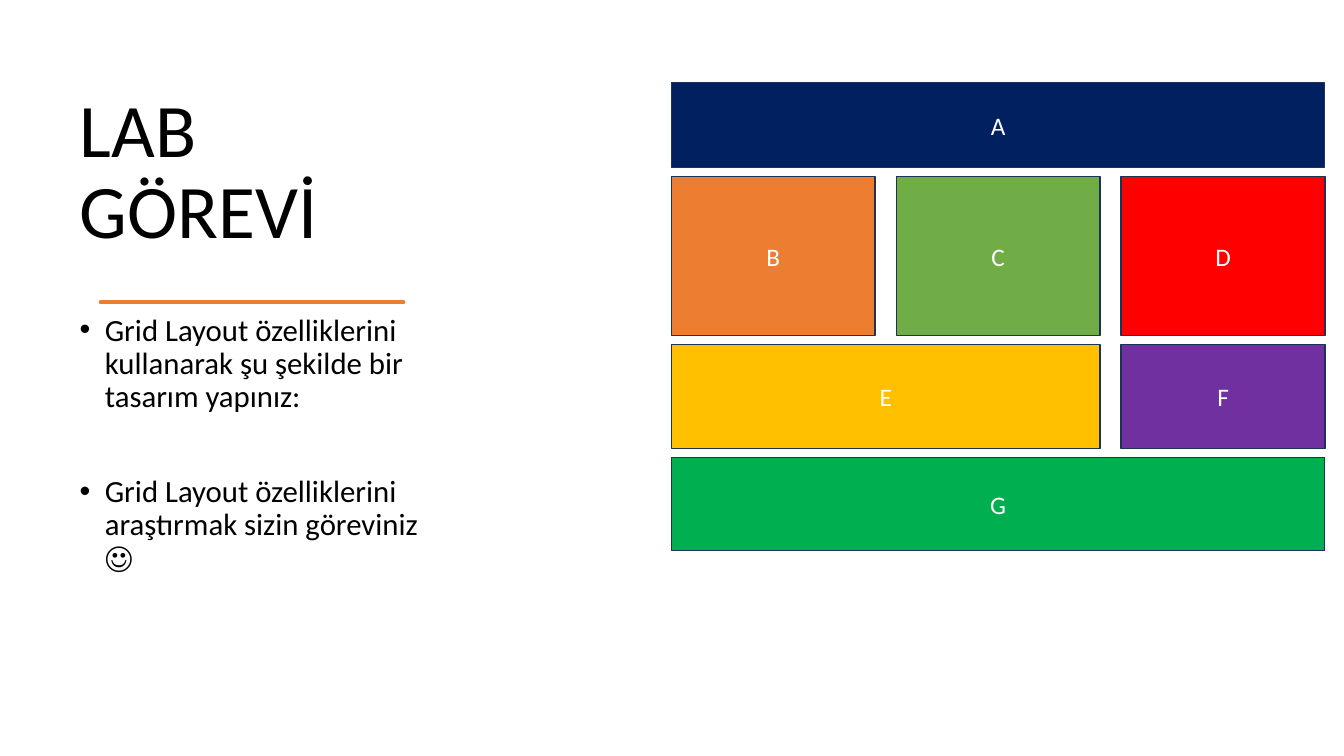
import dataclasses
import pptx
import pptx.dml.color
import pptx.enum.shapes
import pptx.enum.text
import pptx.util

Inches, Pt = pptx.util.Inches, pptx.util.Pt
Align, Anchor = pptx.enum.text.PP_ALIGN, pptx.enum.text.MSO_ANCHOR


@dataclasses.dataclass(frozen=True)
class Theme:
    font: str = "Calibri"
    ink: str = "000000"
    light: str = "FFFFFF"
    edge: str = "1E3256"
    accent: str = "ED7D31"
    head: int = 54
    body: int = 22
    cell: int = 18


theme = Theme()
TITLE = "LAB GÖREVİ"
POINTS = [
    ("Grid Layout özelliklerini kullanarak şu şekilde bir tasarım yapınız:", 10),
    ("Grid Layout özelliklerini araştırmak sizin göreviniz ☺", 44),
]
ROWS = [
    (0.84, [("A", 3, "002060")]),
    (1.58, [("B", 1, "ED7D31"), ("C", 1, "70AD47"), ("D", 1, "FF0000")]),
    (1.03, [("E", 2, "FFC000"), ("F", 1, "7030A0")]),
    (0.92, [("G", 3, "00B050")]),
]
LEFT, TOP, WIDE = 6.66, 0.82, 2.02
COL_GAP, ROW_GAP = 0.21, 0.09
START = (0.7, 2.81)
CURVES = [
    ((0.97, 2.79), (1.21, 2.79), (1.38, 2.81)),
    ((1.55, 2.84), (1.77, 2.82), (2.09, 2.81)),
    ((2.41, 2.81), (2.6, 2.83), (2.84, 2.81)),
    ((3.08, 2.8), (3.39, 2.83), (3.59, 2.81)),
    ((3.79, 2.8), (4.12, 2.82), (4.26, 2.81)),
    ((4.26, 2.82), (4.26, 2.83), (4.26, 2.83)),
    ((4.08, 2.84), (3.64, 2.82), (3.48, 2.83)),
    ((3.32, 2.85), (3.04, 2.8), (2.7, 2.83)),
    ((2.35, 2.86), (2.31, 2.84), (1.99, 2.83)),
    ((1.66, 2.83), (1.32, 2.86), (0.7, 2.83)),
]
STEPS = 8


def color(code):
    return pptx.dml.color.RGBColor.from_string(code)


def write(para, text, size, code):
    run = para.add_run()
    run.text = text
    run.font.name = theme.font
    run.font.size = Pt(size)
    run.font.color.rgb = color(code)


def place(shape, left, top, width, height):
    shape.left, shape.top = Inches(left), Inches(top)
    shape.width, shape.height = Inches(width), Inches(height)


def paint(shape, fill, line, width):
    shape.shadow.inherit = False
    shape.fill.solid()
    shape.fill.fore_color.rgb = color(fill)
    shape.line.color.rgb = color(line)
    shape.line.width = Pt(width)


def trace(start, curves):
    dots = []
    for one, two, end in curves:
        for step in range(1, STEPS + 1):
            t = step / STEPS
            u = 1 - t
            dots.append(tuple(
                u**3 * a + 3 * u * u * t * b + 3 * u * t * t * c + t**3 * d
                for a, b, c, d in zip(start, one, two, end)
            ))
        start = end
    return dots


def add_title(slide):
    title = slide.shapes.title
    place(title, 0.69, 0.7, 3.75, 1.88)
    frame = title.text_frame
    frame.auto_size = pptx.enum.text.MSO_AUTO_SIZE.NONE
    frame.vertical_anchor = Anchor.BOTTOM
    para = frame.paragraphs[0]
    para.alignment = Align.LEFT
    para.line_spacing = 0.9
    write(para, TITLE, theme.head, theme.ink)


def add_rule(slide):
    unit = Inches(1)
    pen = slide.shapes.build_freeform(*START, scale=unit)
    pen.add_line_segments(trace(START, CURVES), close=True)
    paint(pen.convert_to_shape(), theme.accent, theme.accent, 3)


def add_points(slide):
    body = slide.placeholders[1]
    place(body, 0.69, 3.07, 3.75, 3.73)
    frame = body.text_frame
    frame.auto_size = pptx.enum.text.MSO_AUTO_SIZE.NONE
    for i, (text, before) in enumerate(POINTS):
        para = frame.add_paragraph() if i else frame.paragraphs[0]
        para.line_spacing = 0.9
        para.space_before = Pt(before)
        props = para._p.get_or_add_pPr()
        props.set("marL", str(Inches(0.25)))
        props.set("indent", str(-Inches(0.25)))
        write(para, text, theme.body, theme.ink)


def add_grid(slide):
    rect = pptx.enum.shapes.MSO_SHAPE.RECTANGLE
    top = TOP
    for high, cells in ROWS:
        left = LEFT
        for name, span, fill in cells:
            width = span * WIDE + (span - 1) * COL_GAP
            box = slide.shapes.add_shape(
                rect, Inches(left), Inches(top), Inches(width), Inches(high))
            paint(box, fill, theme.edge, 1)
            box.text_frame.vertical_anchor = Anchor.MIDDLE
            para = box.text_frame.paragraphs[0]
            para.alignment = Align.CENTER
            write(para, name, theme.cell, theme.light)
            left += width + COL_GAP
        top += high + ROW_GAP


def main():
    deck = pptx.Presentation()
    deck.slide_width, deck.slide_height = Inches(13.33), Inches(7.5)
    slide = deck.slides.add_slide(deck.slide_layouts[1])
    add_title(slide)
    add_rule(slide)
    add_points(slide)
    add_grid(slide)
    deck.save("out.pptx")


if __name__ == "__main__":
    main()
